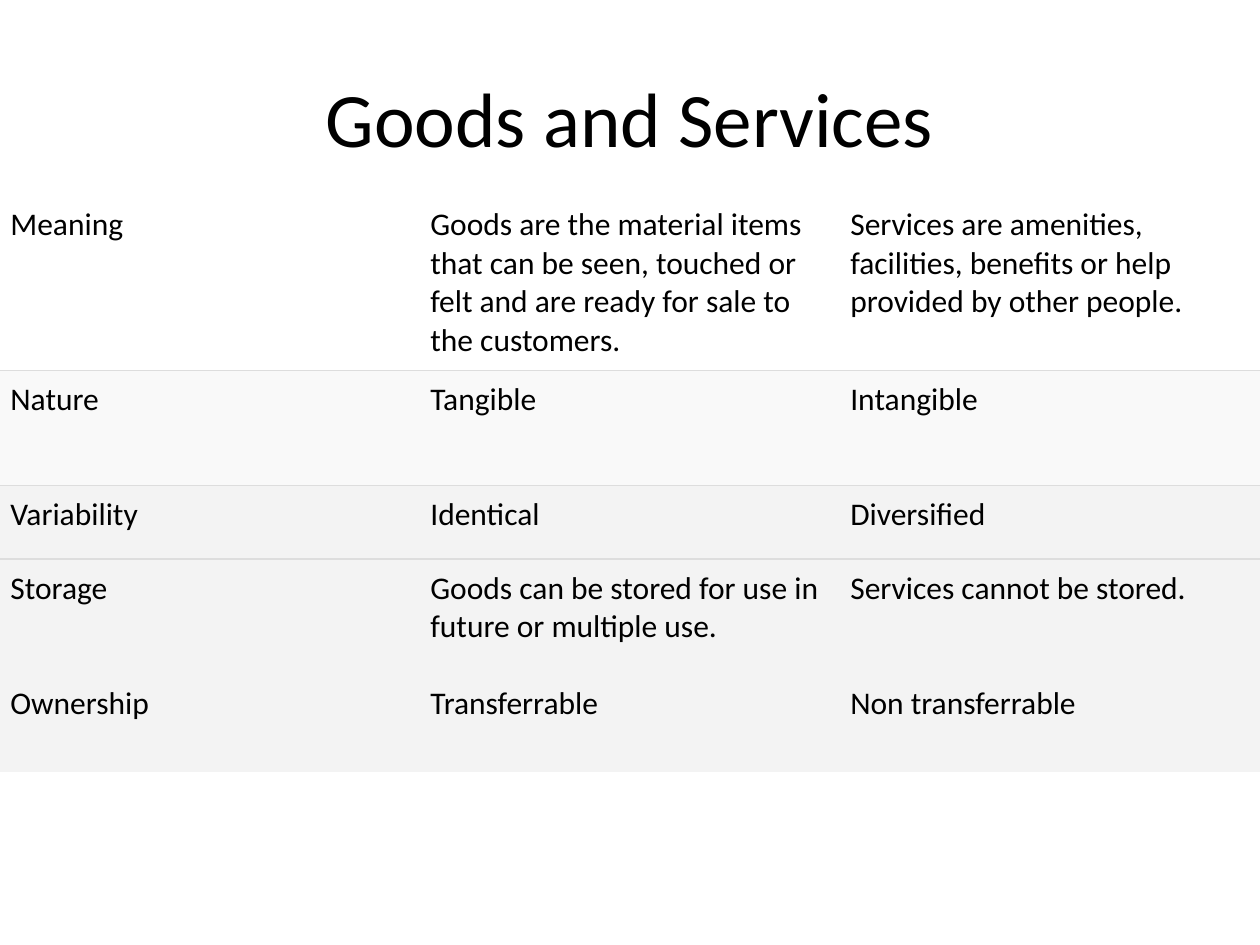
from lxml.etree import SubElement
from pptx import Presentation
from pptx.dml.color import RGBColor
from pptx.enum.text import MSO_ANCHOR, PP_ALIGN
from pptx.oxml import parse_xml
from pptx.oxml.ns import nsdecls, qn
from pptx.util import Cm, Pt

COLORS = {"text": "000000", "rule": "DDDDDD", "white": "FFFFFF",
          "pale": "F9F9F9", "grey": "F3F3F3"}
FONT = "Calibri"
PLAIN_STYLE = "{2D5ABB26-0587-4C30-8999-92F81FD0307C}"
LINE = 21.97

ROWS = [
    (3.53, "white", [
        ["Meaning"],
        ["Goods are the material items that can be seen, touched or felt "
         "and are ready for sale to the customers."],
        ["Services are amenities, facilities, benefits or help provided "
         "by other people."]]),
    (2.31, "pale", [["Nature"], ["Tangible"], ["Intangible"]]),
    (1.49, "grey", [["Variability"], ["Identical"], ["Diversified"]]),
    (4.29, "grey", [
        ["Storage", "Ownership"],
        ["Goods can be stored for use in future or multiple use.",
         "Transferrable"],
        ["Services cannot be stored.", "Non transferrable"]]),
]
OWNERSHIP_GAPS = [2 * LINE, LINE, 2 * LINE]


def style_paragraph(para, size):
    para.font.name = FONT
    para.font.size = Pt(size)
    para.font.color.rgb = RGBColor.from_string(COLORS["text"])


def add_rule(cell, side):
    line = parse_xml(f'<a:{side} {nsdecls("a")} w="9525"/>')
    fill = SubElement(line, qn("a:solidFill"))
    SubElement(fill, qn("a:srgbClr"), val=COLORS["rule"])
    cell._tc.get_or_add_tcPr().insert(0, line)


def fill_cell(cell, texts, color, gap):
    cell.margin_left = cell.margin_right = Cm(0.21)
    cell.margin_top = cell.margin_bottom = Cm(0.21)
    cell.vertical_anchor = MSO_ANCHOR.TOP
    cell.fill.solid()
    cell.fill.fore_color.rgb = RGBColor.from_string(COLORS[color])
    frame = cell.text_frame
    frame.text = "\n".join(texts)
    for index, para in enumerate(frame.paragraphs):
        style_paragraph(para, 18)
        if index:
            para.space_before = Pt(gap)


def place_title(page, left, top, width, height):
    title = page.shapes.title
    title.left, title.top, title.width, title.height = left, top, width, height
    title.text_frame.text = "Goods and Services"
    title.text_frame.vertical_anchor = MSO_ANCHOR.MIDDLE
    para = title.text_frame.paragraphs[0]
    para.alignment = PP_ALIGN.CENTER
    style_paragraph(para, 44)


def add_comparison(page, left, top, width, height):
    columns = len(OWNERSHIP_GAPS)
    table = page.shapes.add_table(
        len(ROWS), columns, left, top, width, height).table
    table.first_row = table.horz_banding = False
    table._tbl.tblPr.find(qn("a:tableStyleId")).text = PLAIN_STYLE
    for column in table.columns:
        column.width = width // columns
    last = len(ROWS) - 1
    for r, (row_height, color, cells) in enumerate(ROWS):
        table.rows[r].height = Cm(row_height)
        for c, texts in enumerate(cells):
            cell = table.cell(r, c)
            fill_cell(cell, texts, color, OWNERSHIP_GAPS[c])
            if r < last:
                add_rule(cell, "lnB")
            if r > 0:
                add_rule(cell, "lnT")


def main():
    deck = Presentation()
    deck.slide_width, deck.slide_height = Cm(25.4), Cm(19.05)
    page = deck.slides.add_slide(deck.slide_layouts[5])
    place_title(page, Cm(1.27), Cm(0.76), Cm(22.86), Cm(3.18))
    add_comparison(page, Cm(0), Cm(3.94), deck.slide_width,
                   Cm(sum(row[0] for row in ROWS)))
    deck.save("out.pptx")


if __name__ == "__main__":
    main()
